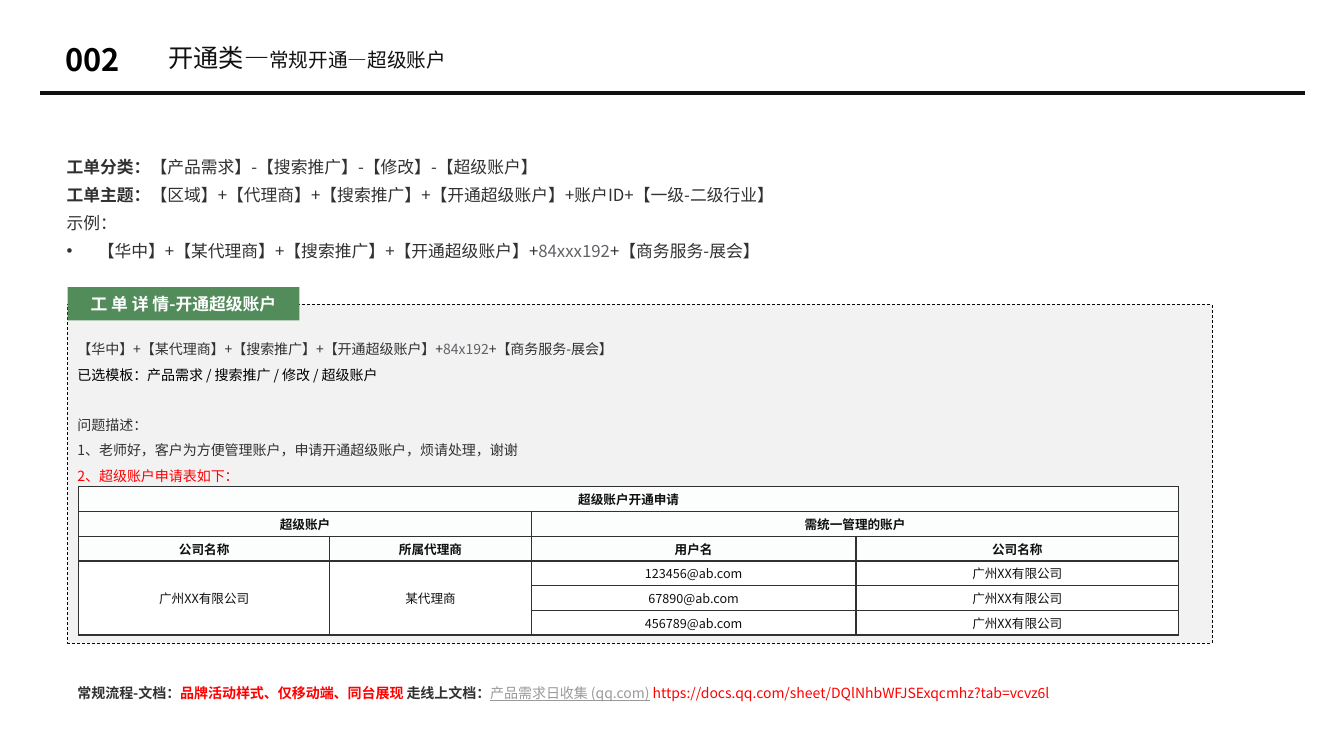
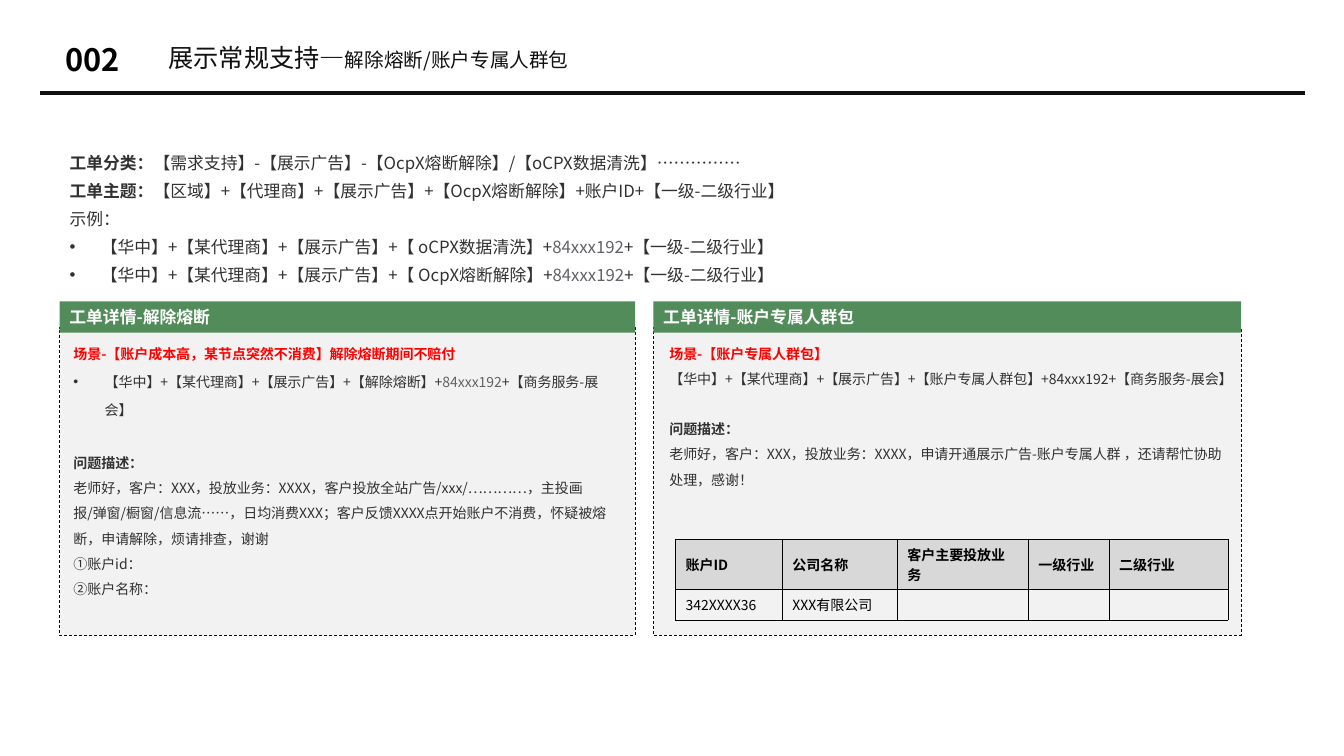
from dataclasses import dataclass
from typing import Optional

from lxml.etree import SubElement
from pptx import Presentation
from pptx.dml.color import RGBColor
from pptx.enum.dml import MSO_LINE
from pptx.enum.shapes import MSO_CONNECTOR, MSO_SHAPE
from pptx.enum.text import MSO_ANCHOR, MSO_AUTO_SIZE, PP_ALIGN
from pptx.oxml import parse_xml
from pptx.oxml.ns import nsdecls, qn
from pptx.util import Pt

PX = 9144
FONT = "Noto Sans CJK SC"
INK, TEXT, MUTED, LINK = "101010", "313131", "606266", "9A9A9A"
RED, GREEN, PANEL, WHITE, BLACK = "FF0000", "538C5B", "F2F2F2", "FFFFFF", "000000"
HEAD_FILL, GRAY_FILL, DASH_LINE = "FCFDFD", "D8D8D8", "070707"


@dataclass
class Run:
    text: str
    color: Optional[str] = None
    bold: Optional[bool] = None
    underline: Optional[bool] = None
    size: Optional[int] = None


@dataclass
class Line:
    runs: list
    color: str = TEXT
    bold: bool = False
    size: int = 10
    spacing: object = 1.5
    before: int = 0
    bullet: bool = False
    align: object = PP_ALIGN.LEFT


def rgb(color):
    return RGBColor.from_string(color)


def px(*lengths):
    return [length * PX for length in lengths]


def set_bullet(paragraph, shown):
    properties = paragraph._p.get_or_add_pPr()
    indent = 31 * PX if shown else 0
    properties.set("marL", str(indent))
    properties.set("indent", str(-indent))
    if shown:
        SubElement(properties, qn("a:buFont")).set("typeface", "Arial")
        SubElement(properties, qn("a:buChar")).set("char", "•")
    else:
        SubElement(properties, qn("a:buNone"))


def write_line(paragraph, line):
    paragraph.alignment = line.align
    paragraph.line_spacing = line.spacing
    paragraph.space_before = Pt(line.before)
    set_bullet(paragraph, line.bullet)
    font = paragraph.font
    font.size, font.bold, font.name = Pt(line.size), line.bold, FONT
    font.color.rgb = rgb(line.color)
    SubElement(font._element, qn("a:ea")).set("typeface", FONT)
    for part in line.runs:
        run = paragraph.add_run()
        run.text = part.text
        if part.color:
            run.font.color.rgb = rgb(part.color)
        if part.bold is not None:
            run.font.bold = part.bold
        if part.underline:
            run.font.underline = True
        if part.size:
            run.font.size = Pt(part.size)


def write(frame, lines, anchor=MSO_ANCHOR.TOP, margin=None):
    frame.word_wrap = True
    frame.auto_size = MSO_AUTO_SIZE.NONE
    frame.vertical_anchor = anchor
    if margin is not None:
        frame.margin_left = frame.margin_right = margin
        frame.margin_top = frame.margin_bottom = margin
    for index, line in enumerate(lines):
        write_line(frame.add_paragraph() if index else frame.paragraphs[0], line)


def add_text(slide, box, lines, **options):
    write(slide.shapes.add_textbox(*px(*box)).text_frame, lines, **options)


def fill_placeholder(placeholder, box, lines, **options):
    placeholder.left, placeholder.top, placeholder.width, placeholder.height = px(*box)
    write(placeholder.text_frame, lines, **options)


def add_rectangle(slide, box, fill, dashed=False):
    shape = slide.shapes.add_shape(MSO_SHAPE.RECTANGLE, *px(*box))
    shape.shadow.inherit = False
    shape.fill.solid()
    shape.fill.fore_color.rgb = rgb(fill)
    if dashed:
        shape.line.color.rgb = rgb(DASH_LINE)
        shape.line.width = Pt(0.5)
        shape.line.dash_style = MSO_LINE.DASH
    else:
        shape.line.fill.background()
    return shape


def add_tag(slide, box, label, align=PP_ALIGN.LEFT):
    line = Line([Run(label)], WHITE, True, 12, 1.0, align=align)
    write(add_rectangle(slide, box, GREEN).text_frame, [line], MSO_ANCHOR.MIDDLE)


def add_rule(slide):
    rule = slide.shapes.add_connector(MSO_CONNECTOR.STRAIGHT, *px(40, 92, 1294, 92))
    rule.line.color.rgb = rgb(INK)
    rule.line.width = Pt(3)
    SubElement(rule._element.spPr, qn("a:effectLst"))


def add_slide(presentation, title, subtitle, body_box, body_lines):
    slide = presentation.slides.add_slide(presentation.slide_layouts[1])
    add_rule(slide)
    heading = Line([Run(title), Run(subtitle, size=14)], INK, size=18, spacing=0.9)
    fill_placeholder(slide.shapes.title, (167, 45, 893, 27), [heading],
                     anchor=MSO_ANCHOR.MIDDLE, margin=0)
    fill_placeholder(slide.placeholders[1], body_box, body_lines)
    number = Line([Run("002")], BLACK, True, 22, 1.0)
    add_text(slide, (65, 40, 67, 37), [number], anchor=MSO_ANCHOR.MIDDLE, margin=0)
    return slide


def example_runs(prefix, account, suffix):
    return [Run(prefix), Run(account, MUTED), Run(suffix)]


def order_lines(category, subject, examples):
    style = {"size": 12, "spacing": Pt(20)}
    return [
        Line([Run("工单分类：", bold=True), Run(category)], **style),
        Line([Run("工单主题：", bold=True), Run(subject)], **style),
        Line([Run("示例：")], **style),
    ] + [Line(example_runs(*example), bullet=True, **style) for example in examples]


def set_cell(cell, line, fill, border, width, margin=None):
    cell.vertical_anchor = MSO_ANCHOR.MIDDLE
    if margin is not None:
        cell.margin_left = cell.margin_right = margin
        cell.margin_top = cell.margin_bottom = margin
    write_line(cell.text_frame.paragraphs[0], line)
    properties = cell._tc.get_or_add_tcPr()
    for index, side in enumerate(("lnL", "lnR", "lnT", "lnB")):
        properties.insert(index, parse_xml(
            f'<a:{side} {nsdecls("a")} w="{Pt(width)}"><a:solidFill>'
            f'<a:srgbClr val="{border}"/></a:solidFill></a:{side}>'))
    if fill:
        cell.fill.solid()
        cell.fill.fore_color.rgb = rgb(fill)
    else:
        cell.fill.background()


def add_table(slide, box, widths, rows, merges=()):
    frame = slide.shapes.add_table(len(rows), len(widths), *px(*box))
    table = frame.table
    table.first_row = table.horz_banding = False
    for column, width in zip(table.columns, widths):
        column.width = width * PX
    for top, left, bottom, right in merges:
        table.cell(top, left).merge(table.cell(bottom, right))
    return table


def add_application_table(slide):
    company = "广州XX有限公司"
    rows = [
        ("超级账户开通申请", "", "", ""),
        ("超级账户", "", "需统一管理的账户", ""),
        ("公司名称", "所属代理商", "用户名", "公司名称"),
        (company, "某代理商", "123456@ab.com", company),
        ("", "", "67890@ab.com", company),
        ("", "", "456789@ab.com", company),
    ]
    merges = [(0, 0, 0, 3), (1, 0, 1, 1), (1, 2, 1, 3), (3, 0, 5, 0), (3, 1, 5, 1)]
    table = add_table(slide, (78, 483, 1091, 147), (249, 200, 322, 320), rows, merges)
    for row, texts in enumerate(rows):
        heading = row < 3
        for column, text in enumerate(texts):
            line = Line([Run(text)] if text else [], INK, heading, 9, 1.0,
                        align=PP_ALIGN.CENTER)
            set_cell(table.cell(row, column), line, HEAD_FILL if heading else WHITE,
                     TEXT, 1, PX)


def add_account_table(slide):
    rows = [
        ("账户ID", "公司名称", "客户主要投放业务", "一级行业", "二级行业"),
        ("342XXXX36", "XXX有限公司", "", "", ""),
    ]
    table = add_table(slide, (670, 535, 548, 70), (106, 114, 130, 80, 118), rows)
    for row, (texts, height) in enumerate(zip(rows, (43, 27))):
        table.rows[row].height = height * PX
        for column, text in enumerate(texts):
            line = Line([Run(text)] if text else [], BLACK, row == 0, spacing=1.0)
            set_cell(table.cell(row, column), line, None if row else GRAY_FILL, BLACK, 0.5)


def add_panel(slide, left, width, heading, text_left, text_width, lines):
    add_rectangle(slide, (left, 325, width, 305), PANEL, dashed=True)
    add_text(slide, (text_left, 329, text_width, 218), lines)
    add_tag(slide, (left, 299, width, 31), heading)


def build_super_account(presentation):
    prefix = "【华中】+【某代理商】+【搜索推广】+【开通超级账户】+"
    suffix = "+【商务服务-展会】"
    slide = add_slide(
        presentation, "开通类—", "常规开通—超级账户", (56, 143, 828, 119),
        order_lines("【产品需求】-【搜索推广】-【修改】-【超级账户】",
                    "【区域】+【代理商】+【搜索推广】+【开通超级账户】+账户ID+【一级-二级行业】",
                    [(prefix, "84xxx192", suffix)]))
    add_rectangle(slide, (67, 302, 1135, 336), PANEL, dashed=True)
    add_text(slide, (67, 325, 617, 159), [
        Line(example_runs(prefix, "84x192", suffix)),
        Line([Run("已选模板：产品需求 / 搜索推广 / 修改 / 超级账户")], BLACK),
        Line([Run("问题描述：")], before=18),
        Line([Run("1、老师好，客户为方便管理账户，申请开通超级账户，烦请处理，谢谢")]),
        Line([Run("2、超级账户申请表如下：")], RED),
    ])
    add_application_table(slide)
    add_text(slide, (67, 663, 1240, 34), [Line([
        Run("常规流程-文档：", bold=True),
        Run("品牌活动样式、仅移动端、同台展现 ", RED, True),
        Run("走线上文档：", bold=True),
        Run("产品需求日收集 (qq.com)", LINK, underline=True),
        Run(" https://docs.qq.com/sheet/DQlNhbWFJSExqcmhz?tab=vcvz6l", RED),
    ], spacing=Pt(20))])
    add_tag(slide, (67, 285, 230, 33), "工 单 详 情-开通超级账户", PP_ALIGN.CENTER)


def build_display_support(presentation):
    prefix = "【华中】+【某代理商】+【展示广告】+"
    account, suffix = "84xxx192", "+【商务服务-展会】"
    slide = add_slide(
        presentation, "展示常规支持—", "解除熔断/账户专属人群包", (59, 139, 1214, 147),
        order_lines("【需求支持】-【展示广告】-【OcpX熔断解除】/【oCPX数据清洗】……………",
                    "【区域】+【代理商】+【展示广告】+【OcpX熔断解除】+账户ID+【一级-二级行业】",
                    [(f"{prefix}【 {topic}】+", account, "+【一级-二级行业】")
                     for topic in ("oCPX数据清洗", "OcpX熔断解除")]))
    add_panel(slide, 59, 571, "工单详情-解除熔断", 63, 557, [
        Line([Run("场景-【账户成本高，某节点突然不消费】解除熔断期间不赔付")], RED, True),
        Line(example_runs(f"{prefix}【解除熔断】+", account, suffix),
             spacing=Pt(20), bullet=True),
        Line([Run("问题描述：")], bold=True, before=20),
        Line([Run("老师好，客户：XXX，投放业务：XXXX，客户投放全站广告/xxx/…………，主投画报/弹窗/橱窗/"
                  "信息流……，日均消费XXX；客户反馈XXXX点开始账户不消费，怀疑被熔断，申请解除，烦请排查，谢谢")]),
        Line([Run("①账户id：")]),
        Line([Run("②账户名称：")]),
    ])
    add_panel(slide, 648, 583, "工单详情-账户专属人群包", 654, 581, [
        Line([Run("场景-【账户专属人群包】")], RED, True),
        Line([Run(f"{prefix}【账户专属人群包】+{account}{suffix}")]),
        Line([Run("问题描述：")], bold=True, before=18),
        Line([Run("老师好，客户：XXX，投放业务：XXXX，申请开通展示广告-账户专属人群 ，还请帮忙协助处理，感谢！")]),
    ])
    add_account_table(slide)


def main():
    presentation = Presentation()
    presentation.slide_width, presentation.slide_height = px(1333, 750)
    build_super_account(presentation)
    build_display_support(presentation)
    presentation.save("out.pptx")


if __name__ == "__main__":
    main()
